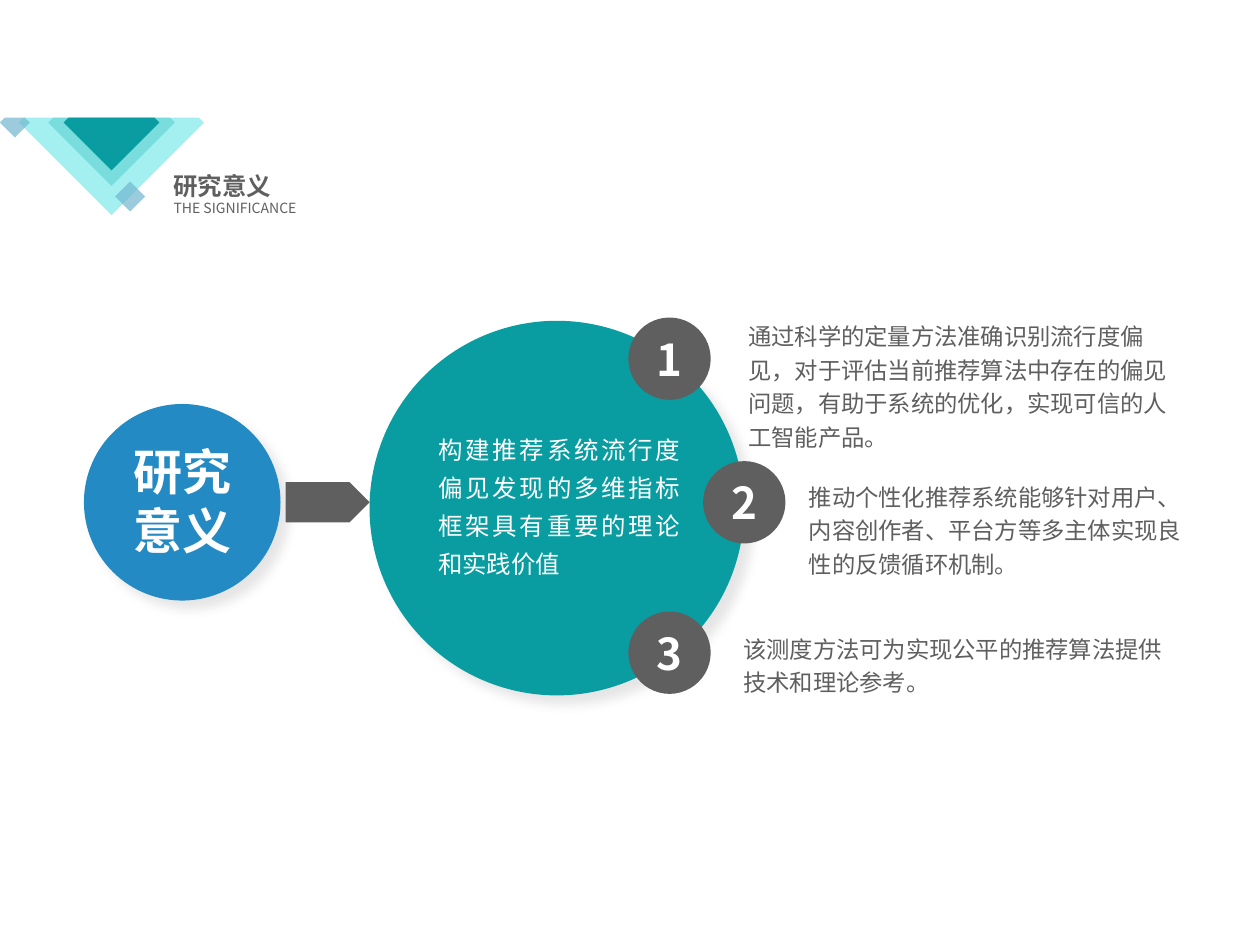
import pptx
import pptx.util
import pptx.dml.color
import pptx.enum.shapes
import pptx.enum.text
import pptx.oxml
import pptx.oxml.ns
import lxml.etree

RGB = pptx.dml.color.RGBColor
GREY = RGB(0x5F, 0x5F, 0x5F)
WHITE = RGB(0xFF, 0xFF, 0xFF)
BLUE = RGB(0x24, 0x8A, 0xC4)
TEAL = RGB(0x09, 0x9D, 0xA1)
PALE = RGB(0xA4, 0xF0, 0xF1)
AQUA = RGB(0x68, 0xD5, 0xD7)
SKY = RGB(0x71, 0xB6, 0xCF)
FONT = "Noto Sans CJK SC"
SHAPE = pptx.enum.shapes.MSO_SHAPE
ALIGN = pptx.enum.text.PP_ALIGN
qn = pptx.oxml.ns.qn

deck = pptx.Presentation()
deck.slide_width = pptx.util.Inches(7.5)
deck.slide_height = deck.slide_width * 3 // 4
page = deck.slides.add_slide(deck.slide_layouts[6])
CELL = deck.slide_width / 75  # square grid, 75 columns across


def paint(shape, color, opacity=100):
    shape.shadow.inherit = False
    shape.fill.solid()
    shape.fill.fore_color.rgb = color
    shape.line.fill.background()
    if opacity < 100:
        tint = shape._element.spPr.find(qn("a:solidFill"))[0]
        lxml.etree.SubElement(tint, qn("a:alpha")).set("val", str(opacity * 1000))


def write(box, lines, size, color, bold=False, align=ALIGN.LEFT, spacing=1.0,
          insets=(0, 0), wrap=True):
    frame = box.text_frame
    layout = {"word_wrap": wrap, "margin_left": insets[0], "margin_right": insets[0],
              "margin_top": insets[1], "margin_bottom": insets[1]}
    for key, value in layout.items():
        setattr(frame, key, value)
    for index, line in enumerate(lines):
        para = frame.add_paragraph() if index else frame.paragraphs[0]
        para.alignment = align
        para.line_spacing = spacing
        # Keep punctuation inside the right edge
        para._element.get_or_add_pPr().set("hangingPunct", "0")
        span = para.add_run()
        span.text = line
        for key, value in {"size": pptx.util.Pt(size), "name": FONT, "bold": bold}.items():
            setattr(span.font, key, value)
        span.font.color.rgb = color
        east = lxml.etree.SubElement(span.font._element, qn("a:ea"))
        east.set("typeface", FONT)


# Large circles with soft shadows, then the arrow and the numbered circles
solids = [
    (SHAPE.OVAL, 5, 24.05, 11.7, 11.7, BLUE, ""),
    (SHAPE.OVAL, 22, 19.1, 22.3, 22.3, TEAL, ""),
    (SHAPE.PENTAGON, 17, 28.7, 5, 2.4, GREY, ""),
    (SHAPE.OVAL, 37.4, 18.9, 4.9, 4.9, GREY, "1"),
    (SHAPE.OVAL, 41.85, 27.45, 4.9, 4.9, GREY, "2"),
    (SHAPE.OVAL, 37.4, 36.4, 4.9, 4.9, GREY, "3"),
]
for kind, left, top, width, height, color, number in solids:
    solid = page.shapes.add_shape(
        kind, *(round(n * CELL) for n in (left, top, width, height)))
    paint(solid, color)
    if number:
        solid.text_frame.vertical_anchor = pptx.enum.text.MSO_ANCHOR.MIDDLE
        write(solid, [number], 18.8, WHITE, bold=True, align=ALIGN.CENTER)
    elif kind == SHAPE.OVAL:
        effects = solid._element.spPr.find(qn("a:effectLst"))
        shadow = lxml.etree.SubElement(
            effects, qn("a:outerShdw"), blurRad=str(pptx.util.Pt(5)),
            dist=str(pptx.util.Pt(5)), dir=str(45 * 60000), algn="tl", rotWithShape="0")
        tint = lxml.etree.SubElement(shadow, qn("a:srgbClr"), val="000000")
        lxml.etree.SubElement(tint, qn("a:alpha"), val="10000")

# Heading, circle texts and the three points
heading = {"insets": (pptx.util.Inches(0.1), pptx.util.Inches(0.05)), "wrap": False}
point = {"size": 10, "color": GREY, "spacing": 1.2}
texts = [
    (9.35, 9.7, 7.9, 2.8, ["研究意义"],
     {"size": 10.5, "color": GREY, "bold": True, **heading}),
    (9.35, 11.4, 9.7, 2, ["THE SIGNIFICANCE"], {"size": 6, "color": GREY, **heading}),
    (7.9, 26.3, 5.9, 7.1, ["研究", "意义"],
     {"size": 21, "color": WHITE, "bold": True, "align": ALIGN.CENTER, "wrap": False}),
    (26.1, 25.35, 14.4, 9, ["构建推荐系统流行度偏见发现的多维指标框架具有重要的理论和实践价值"],
     {"size": 10.5, "color": WHITE, "align": ALIGN.JUSTIFY, "spacing": 1.3}),
    (44.55, 18.85, 25.3, 7.9,
     ["通过科学的定量方法准确识别流行度偏见，对于评估当前推荐算法中存在的偏见问题，"
      "有助于系统的优化，实现可信的人工智能产品。"], point),
    (48.15, 28.4, 23.4, 5.9,
     ["推动个性化推荐系统能够针对用户、内容创作者、平台方等多主体实现良性的反馈循环机制。"],
     point),
    (44.25, 37.45, 25.7, 3.9, ["该测度方法可为实现公平的推荐算法提供技术和理论参考。"], point),
]
for left, top, width, height, lines, style in texts:
    box = page.shapes.add_textbox(
        *(round(n * CELL) for n in (left, top, width, height)))
    write(box, lines, **style)
    box.text_frame.auto_size = pptx.enum.text.MSO_AUTO_SIZE.SHAPE_TO_FIT_TEXT

# Corner ornament: diamonds (centre, half width, rise above centre), cut flat on top
diamonds = [
    (6.64, 7.3, 5.5, 0.3, PALE, 100),
    (6.64, 7.3, 3.77, 0.3, AQUA, 70),
    (6.64, 7.3, 2.85, 0.3, TEAL, 100),
    (0.89, 7.3, 0.89, 0.3, SKY, 70),
    (7.75, 11.7, 0.89, 0.89, SKY, 70),
]
for x, y, half, rise, color, opacity in diamonds:
    flat = half - rise
    corners = [(x + half, y), (x, y + half), (x - half, y), (x - flat, y - rise),
               (x + flat, y - rise)]
    points = [(round(a * CELL), round(b * CELL)) for a, b in corners]
    outline = page.shapes.build_freeform(*points[0])
    outline.add_line_segments(points[1:], close=True)
    paint(outline.convert_to_shape(), color, opacity)

deck.save("out.pptx")
